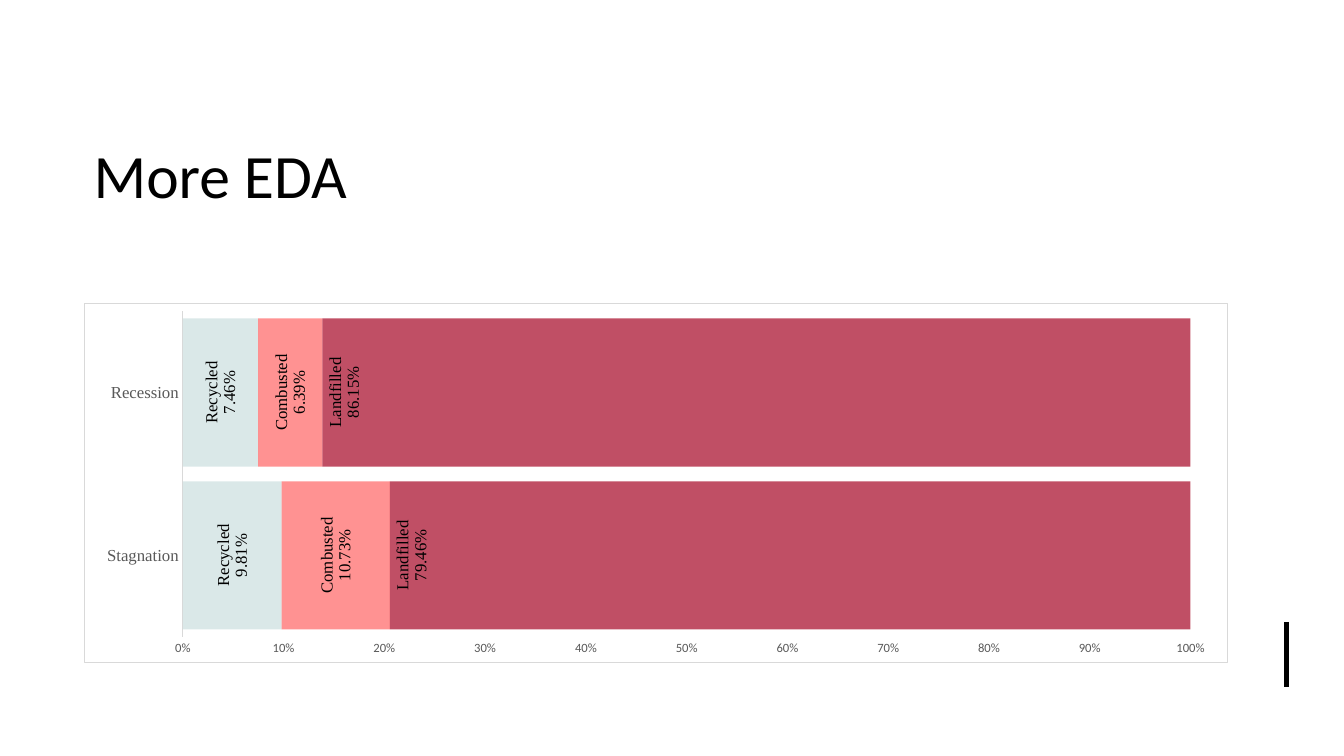
from dataclasses import dataclass

from lxml.etree import SubElement
from pptx import Presentation
from pptx.chart.axis import CategoryAxis, ValueAxis
from pptx.chart.chart import Chart
from pptx.chart.data import CategoryChartData
from pptx.chart.series import BarSeries
from pptx.dml.color import RGBColor
from pptx.enum.chart import XL_CHART_TYPE, XL_LABEL_POSITION, XL_TICK_MARK
from pptx.enum.shapes import MSO_CONNECTOR
from pptx.enum.text import MSO_ANCHOR
from pptx.oxml import parse_xml
from pptx.oxml.ns import nsdecls, qn
from pptx.slide import Slide
from pptx.text.text import Font
from pptx.util import Inches, Pt

COLORS = {
    "black": "000000", "gray": "595959", "rule": "D9D9D9",
    "mint": "C7DDDD", "coral": "FF5050", "wine": "A50021",
}
SANS, SERIF = "Calibri", "Times New Roman"
LEFT, WIDTH = Inches(0.83), Inches(11.35)


@dataclass(frozen=True)
class Fate:
    name: str
    shares: tuple[float, float]
    color: str
    alpha: int
    place: XL_LABEL_POSITION


FATES = [
    Fate("Recycled", (0.0981, 0.0746), "mint", 66, XL_LABEL_POSITION.CENTER),
    Fate("Combusted", (0.1073, 0.0639), "coral", 62, XL_LABEL_POSITION.CENTER),
    Fate("Landfilled", (0.7946, 0.8615), "wine", 69, XL_LABEL_POSITION.INSIDE_BASE),
]


def rgb(name: str) -> RGBColor:
    return RGBColor.from_string(COLORS[name])


def style(font: Font, size: float, face: str, color: str) -> None:
    font.size, font.name = Pt(size), face
    font.color.rgb = rgb(color)


def add_title(slide: Slide) -> None:
    box = slide.shapes.add_textbox(LEFT, Inches(0.94), WIDTH, Inches(1.57))
    frame = box.text_frame
    frame.word_wrap = True
    frame.vertical_anchor = MSO_ANCHOR.MIDDLE
    frame.text = "More EDA"
    style(frame.paragraphs[0].runs[0].font, 44, SANS, "black")


def add_mark(slide: Slide) -> None:
    x = Inches(12.76)
    mark = slide.shapes.add_connector(
        MSO_CONNECTOR.STRAIGHT, x, Inches(6.17), x, Inches(6.82))
    mark.line.color.rgb = rgb("black")
    mark.line.width = Pt(3)
    SubElement(mark._element.spPr, qn("a:effectLst"))


def paint(series: BarSeries, fate: Fate) -> None:
    fill = series.format.fill
    fill.solid()
    fill.fore_color.rgb = rgb(fate.color)
    tint = series._element.find(".//" + qn("a:srgbClr"))
    SubElement(tint, qn("a:alpha")).set("val", str(fate.alpha * 1000))

    labels = series.data_labels
    labels.show_value = labels.show_series_name = True
    labels.number_format = "0.00%"
    labels.number_format_is_linked = False
    labels.position = fate.place
    style(labels.font, 12, SERIF, "black")
    node = labels._element
    body = node.find(".//" + qn("a:bodyPr"))
    body.set("rot", "-5400000")
    body.set("vert", "horz")
    gap = parse_xml(f"<c:separator {nsdecls('c')}>\n</c:separator>")
    node.find(qn("c:showBubbleSize")).addnext(gap)


def clean(axis: CategoryAxis | ValueAxis, size: float, face: str) -> None:
    axis.has_major_gridlines = False
    axis.major_tick_mark = axis.minor_tick_mark = XL_TICK_MARK.NONE
    style(axis.tick_labels.font, size, face, "gray")


def frame_chart(chart: Chart) -> None:
    border = parse_xml(
        f'<c:spPr {nsdecls("c", "a")}><a:noFill/><a:ln w="{Pt(0.75)}"><a:solidFill>'
        f'<a:srgbClr val="{COLORS["rule"]}"/></a:solidFill></a:ln></c:spPr>')
    chart._chartSpace.find(qn("c:chart")).addnext(border)


def add_chart(slide: Slide) -> None:
    data = CategoryChartData(number_format="0.00%")
    data.categories = ["Stagnation", "Recession"]
    for fate in FATES:
        data.add_series(fate.name, fate.shares)
    chart = slide.shapes.add_chart(
        XL_CHART_TYPE.BAR_STACKED_100, LEFT, Inches(3.01), WIDTH, Inches(3.57), data).chart
    chart.has_title = chart.has_legend = False
    style(chart.font, 10, SANS, "black")
    frame_chart(chart)

    plot = chart.plots[0]
    plot.gap_width, plot.overlap = 10, 100
    plot.vary_by_categories = False
    for series, fate in zip(plot.series, FATES):
        paint(series, fate)

    clean(chart.category_axis, 12, SERIF)
    chart.category_axis.format.line.color.rgb = rgb("rule")
    chart.category_axis.format.line.width = Pt(0.75)
    clean(chart.value_axis, 9, SANS)
    chart.value_axis.format.line.fill.background()
    chart.value_axis.tick_labels.number_format = "0%"
    chart.value_axis.tick_labels.number_format_is_linked = False


def main() -> None:
    """Build the slide on how waste is handled in each economic phase."""
    deck = Presentation()
    deck.slide_width, deck.slide_height = Inches(13.33), Inches(7.5)
    slide = deck.slides.add_slide(deck.slide_layouts[6])
    add_title(slide)
    add_mark(slide)
    add_chart(slide)
    deck.save("out.pptx")


if __name__ == "__main__":
    main()
